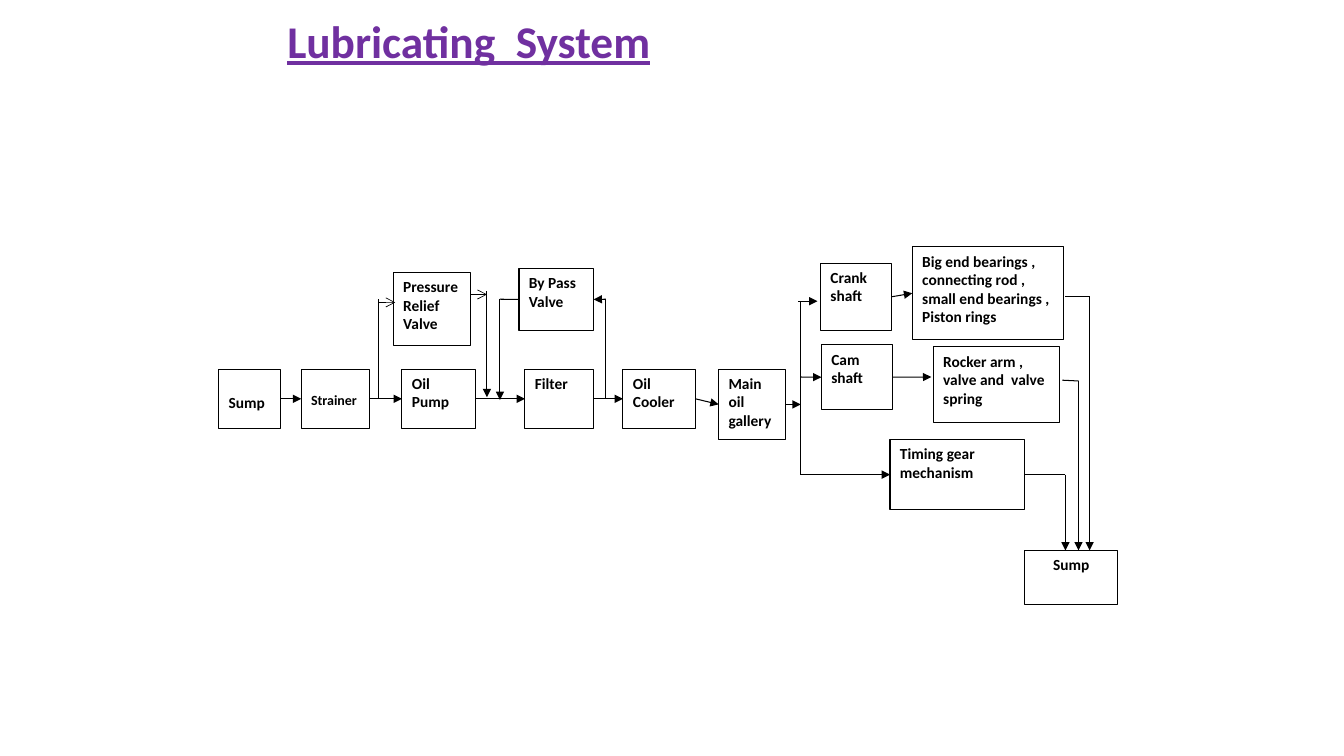
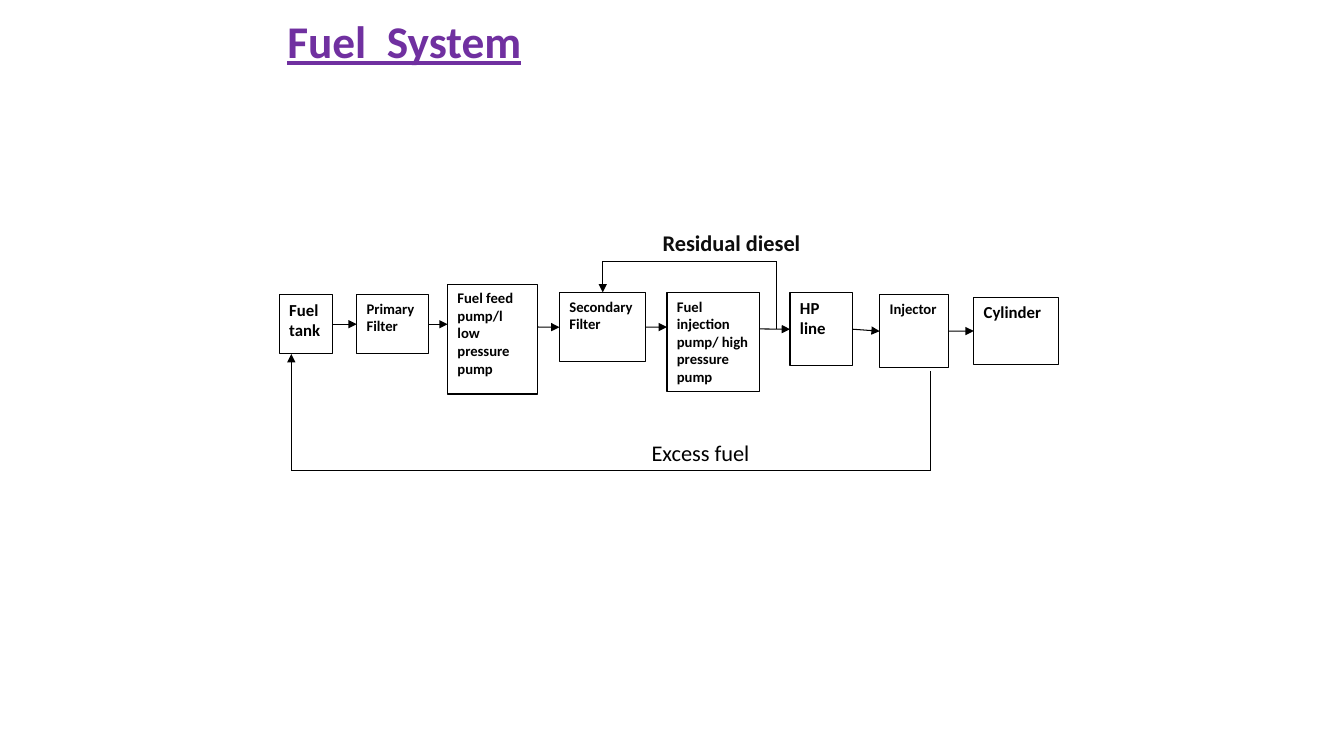
import itertools

import pptx
import pptx.dml.color
import pptx.enum.shapes
import pptx.enum.text
import pptx.oxml
import pptx.oxml.ns
import pptx.util

Cm, Pt = pptx.util.Cm, pptx.util.Pt
RGBColor = pptx.dml.color.RGBColor
MSO_ANCHOR, PP_ALIGN = pptx.enum.text.MSO_ANCHOR, pptx.enum.text.PP_ALIGN

PURPLE = RGBColor(0x70, 0x30, 0xA0)
BLACK = RGBColor(0, 0, 0)
CHARCOAL = RGBColor(0x0D, 0x0D, 0x0D)
WHITE = RGBColor(0xFF, 0xFF, 0xFF)
FONT = "Calibri"
TOP, LEFT, BOTTOM, RIGHT = range(4)
LINE_WIDTHS = {None: 0.75, "triangle": 0.75, "arrow": 0.5}

# Lengths are in centimetres.
# Boxes: name: (text, left, top, width, height, font size, options)
# Flows: a list of points, then the arrowhead at the last one;
# a point is (x, y) or (box name, side).
LUBRICATING = {
    "title": "Lubricating  System",
    "boxes": {
        "sump": ("Sump", 5.51, 9.3, 1.57, 1.5, 11, {"inset": 0.6}),
        "strainer": ("Strainer", 7.59, 9.3, 1.73, 1.5, 10, {"inset": 0.57}),
        "pump": ("Oil Pump", 10.13, 9.3, 1.85, 1.5, 11, {}),
        "filter": ("Filter", 13.23, 9.3, 1.73, 1.5, 11, {}),
        "cooler": ("Oil Cooler", 15.7, 9.3, 1.83, 1.5, 11, {}),
        "gallery": ("Main oil gallery", 18.11, 9.3, 1.68, 1.78, 11, {}),
        "relief": ("Pressure Relief Valve", 9.91, 6.86, 1.96, 1.85, 11, {}),
        "bypass": ("By Pass Valve", 13.08, 6.76, 1.88, 1.57, 11, {}),
        "crank": ("Crank shaft", 20.68, 6.63, 1.78, 1.7, 11, {}),
        "bearings": ("Big end bearings , connecting rod , small end bearings , Piston rings",
                     22.99, 6.22, 3.81, 2.34, 11, {}),
        "cam": ("Cam shaft", 20.7, 8.69, 1.8, 1.63, 11, {}),
        "rocker": ("Rocker arm , valve and  valve spring",
                   23.52, 8.74, 3.18, 1.9, 11, {}),
        "timing": ("Timing gear mechanism", 22.43, 11.07, 3.4, 1.78, 11, {}),
        "return": ("Sump", 25.83, 13.87, 2.34, 1.37, 11, {"align": PP_ALIGN.CENTER}),
    },
    "chains": [("sump", "strainer", "pump", "filter", "cooler", "gallery"),
               ("crank", "bearings")],
    "flows": [
        ([(9.53, 10.05), (9.53, 7.54)], None),
        ([(9.53, 7.62), (9.96, 7.62)], "arrow"),
        ([(11.87, 7.42), (12.27, 7.42)], "arrow"),
        ([(12.27, 7.34), (12.27, 10.01)], "triangle"),
        ([("bypass", LEFT), (12.6, 7.54), (12.6, 10.08)], "triangle"),
        ([(15.27, 10.05), (15.27, 7.54), ("bypass", RIGHT)], "triangle"),
        ([("gallery", RIGHT), (20.18, 10.19)], "triangle"),
        ([(20.12, 7.59), (20.6, 7.59)], "triangle"),
        ([(20.18, 9.5), ("cam", LEFT)], "triangle"),
        ([(20.18, 7.59), (20.18, 11.96), ("timing", LEFT)], "triangle"),
        ([("cam", RIGHT), (23.47, 9.5)], "triangle"),
        ([(26.85, 7.47), (27.46, 7.47), (27.46, 13.87)], "triangle"),
        ([(26.77, 9.58), (27.18, 9.6), (27.18, 13.87)], "triangle"),
        ([("timing", RIGHT), (26.85, 11.96), (26.85, 13.87)], "triangle"),
    ],
    "labels": [],
}
FUEL = {
    "title": "Fuel  System",
    "boxes": {
        "tank": ("Fuel tank", 7.04, 7.42, 1.34, 1.5, 12, {}),
        "primary": ("Primary Filter", 8.99, 7.42, 1.8, 1.5, 10.5, {}),
        "feed": ("Fuel feed pump/l low pressure pump", 11.28, 7.16, 2.26, 2.77, 10.5, {}),
        "secondary": ("Secondary Filter", 14.1, 7.37, 2.18, 1.75, 10.5, {}),
        "injection": ("Fuel injection pump/ high pressure pump",
                      16.81, 7.37, 2.34, 2.49, 10.5, {}),
        "hp": ("HP line", 19.91, 7.37, 1.57, 1.85, 12, {}),
        "injector": ("Injector", 22.17, 7.42, 1.73, 1.85, 10.5, {}),
        "cylinder": ("Cylinder", 24.54, 7.49, 2.13, 1.7, 12, {}),
    },
    "chains": [("tank", "primary"), ("hp", "injector", "cylinder")],
    "flows": [
        ([("primary", RIGHT), (11.28, 8.17)], "triangle"),
        ([(13.54, 8.24), ("secondary", LEFT)], "triangle"),
        ([("secondary", RIGHT), (16.81, 8.24)], "triangle"),
        ([(19.15, 8.29), ("hp", LEFT)], "triangle"),
        ([(23.44, 9.35), (23.44, 11.86), (7.34, 11.86), (7.34, 8.92)], "triangle"),
        ([(19.58, 8.29), (19.58, 6.58), (15.19, 6.58), ("secondary", TOP)], "triangle"),
    ],
    "labels": [("Residual diesel", 16.45, 5.67, CHARCOAL, True),
               ("Excess fuel", 16.17, 10.96, BLACK, False)],
}


def set_text(sp, text, size, color, bold):
    tf = sp.text_frame
    tf.word_wrap = True
    p = tf.paragraphs[0]
    p.text = text
    p.alignment = PP_ALIGN.LEFT
    f = p.font
    f.name, f.size, f.bold = FONT, Pt(size), bold
    f.color.rgb = color
    return p


def add_text(s, text, left, top, width, height, size, color, bold):
    sp = s.shapes.add_textbox(Cm(left), Cm(top), Cm(width), Cm(height))
    sp.text_frame.vertical_anchor = MSO_ANCHOR.MIDDLE
    return set_text(sp, text, size, color, bold)


def add_title(s, text):
    p = add_text(s, text, 6.99, 0.43, 21.39, 1.35, 32.4, PURPLE, True)
    p.font.underline = True
    p.line_spacing = 0.9


def add_box(s, text, left, top, width, height, size, options):
    sp = s.shapes.add_shape(pptx.enum.shapes.MSO_SHAPE.RECTANGLE,
                            Cm(left), Cm(top), Cm(width), Cm(height))
    sp.shadow.inherit = False
    sp.fill.solid()
    sp.fill.fore_color.rgb = WHITE
    sp.line.color.rgb = BLACK
    sp.line.width = Pt(0.75)
    p = set_text(sp, text, size, BLACK, True)
    p.alignment = options.get("align", PP_ALIGN.LEFT)
    sp.text_frame.vertical_anchor = MSO_ANCHOR.TOP
    if "inset" in options:
        sp.text_frame.margin_top = Cm(options["inset"])
    return sp


def add_line(s, boxes, start, end, head):
    """Draw one straight connector, joined to a box where an end names one."""
    ends = [(0, 0) if point[0] in boxes else point for point in (start, end)]
    line = s.shapes.add_connector(pptx.enum.shapes.MSO_CONNECTOR.STRAIGHT,
                                  *(Cm(v) for point in ends for v in point))
    for (name, side), connect in ((start, line.begin_connect), (end, line.end_connect)):
        if name in boxes:
            connect(boxes[name], side)
    line.line.color.rgb = BLACK
    line.line.width = Pt(LINE_WIDTHS[head])
    if head:
        tail = pptx.oxml.parse_xml(
            f'<a:tailEnd {pptx.oxml.ns.nsdecls("a")} type="{head}"/>')
        line.line._get_or_add_ln().append(tail)
    line._element.spPr.append(
        pptx.oxml.parse_xml(f'<a:effectLst {pptx.oxml.ns.nsdecls("a")}/>'))


def add_flow(s, boxes, points, head):
    segments = list(itertools.pairwise(points))
    for i, (start, end) in enumerate(segments, 1):
        add_line(s, boxes, start, end, head if i == len(segments) else None)


def add_diagram(prs, diagram):
    s = prs.slides.add_slide(prs.slide_layouts[6])
    add_title(s, diagram["title"])
    boxes = {name: add_box(s, *box) for name, box in diagram["boxes"].items()}
    for chain in diagram["chains"]:
        for source, target in itertools.pairwise(chain):
            add_line(s, boxes, (source, RIGHT), (target, LEFT), "triangle")
    for points, head in diagram["flows"]:
        add_flow(s, boxes, points, head)
    for text, left, top, color, bold in diagram["labels"]:
        add_text(s, text, left, top, 4.5, 0.9, 16, color, bold)


def main():
    prs = pptx.Presentation()
    prs.slide_width, prs.slide_height = Cm(33.87), Cm(19.05)
    for diagram in (LUBRICATING, FUEL):
        add_diagram(prs, diagram)
    prs.save("out.pptx")


if __name__ == "__main__":
    main()
